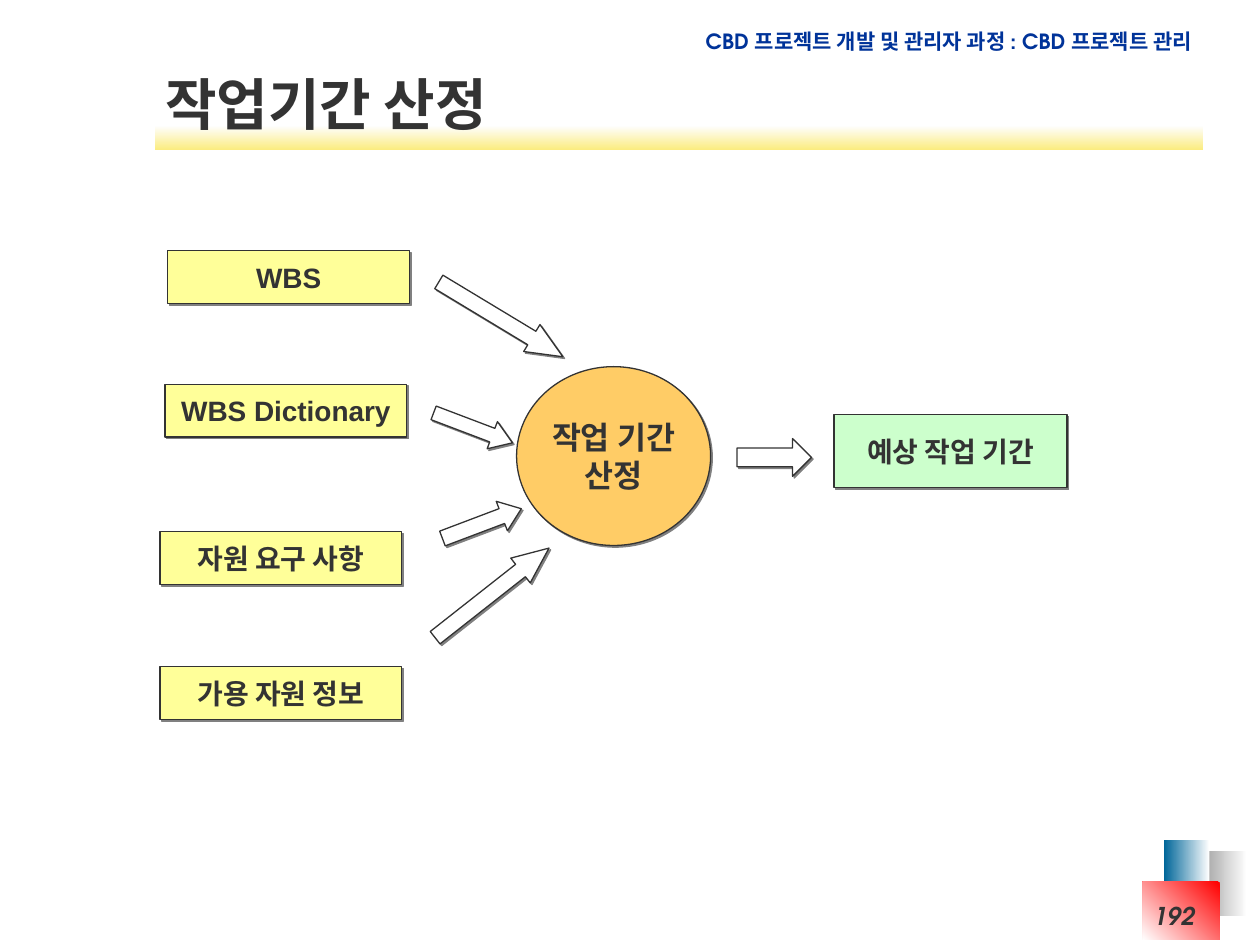
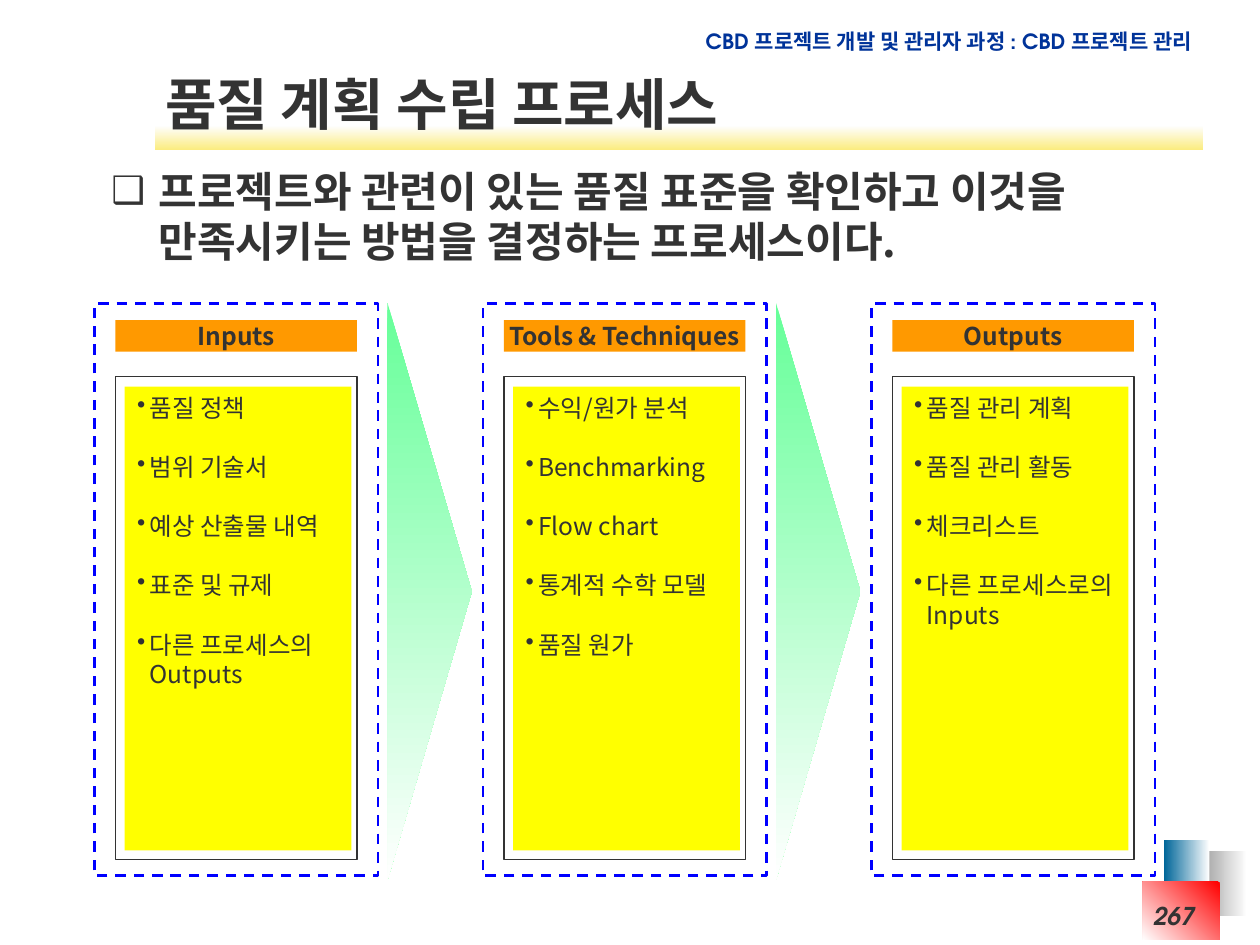
from dataclasses import dataclass

from lxml import etree
from pptx import Presentation
from pptx.dml.color import RGBColor
from pptx.enum import dml, shapes, text
from pptx.oxml import ns
from pptx.util import Pt

COLORS = {
    "ink": "333333", "header": "003399", "white": "FFFFFF", "shadow": "808080",
    "input": "FFFF99", "process": "FFCC66", "result": "CCFFCC",
    "frame": "0000FF", "heading": "FF9900", "list": "FFFF00", "flow": "66FF99",
    "gray": "969696", "teal": "006699", "red": "FF0000",
    "band_top": "FEFEFE", "band_bottom": "FBEC7F",
}
KOREAN = "Noto Sans CJK KR"
GOTHIC = "TeX Gyre Adventor"
HEADER = "CBD 프로젝트 개발 및 관리자 과정 : CBD 프로젝트 관리"
SHAPE = shapes.MSO_SHAPE
ALIGN = text.PP_ALIGN


@dataclass(frozen=True)
class Box:
    left: float
    top: float
    width: float
    height: float

    def lengths(self) -> list:
        return [Pt(v) for v in (self.left, self.top, self.width, self.height)]


@dataclass(frozen=True)
class Style:
    size: float
    font: str = KOREAN
    color: str = "ink"
    bold: bool = True
    italic: bool = False
    align: int = ALIGN.CENTER


@dataclass(frozen=True)
class Gradient:
    box: Box
    start: str
    end: str
    angle: float  # clockwise


@dataclass(frozen=True)
class Node:
    box: Box
    label: str
    fill: str = "input"
    kind: int = SHAPE.RECTANGLE
    size: float = 16


@dataclass(frozen=True)
class Arrow:
    box: Box
    rotation: float
    head: float


@dataclass(frozen=True)
class Column:
    heading: str
    items: tuple


DECORATIONS = (
    Gradient(Box(684, 486, 28.8, 37.4), "white", "gray", 180),
    Gradient(Box(665.3, 480.2, 25.9, 37.4), "white", "teal", 180),
    Gradient(Box(653, 504, 44, 33.1), "red", "white", 135),
    Gradient(Box(88.6, 72, 599, 13.7), "band_top", "band_bottom", 90),
)
NODES = (
    Node(Box(95.8, 143.3, 138.2, 30.2), "WBS"),
    Node(Box(94.3, 219.6, 138.2, 30.2), "WBS Dictionary"),
    Node(Box(91.4, 303.8, 138.2, 30.2), "자원 요구 사항"),
    Node(Box(91.4, 380.9, 138.2, 30.2), "가용 자원 정보"),
    Node(Box(476.6, 236.9, 133.2, 41.8), "예상 작업 기간", "result"),
    Node(Box(295.2, 209.5, 110.9, 102.2), "작업 기간\n산정", "process", SHAPE.OVAL, 18),
)
ARROWS = (
    Arrow(Box(244.8, 173.5, 82.8, 18), 31.1, 1.15),
    Arrow(Box(246.2, 236.2, 48.2, 16.6), 20.8, 0.74),
    Arrow(Box(251.3, 290.2, 48.2, 18), 339.3, 0.66),
    Arrow(Box(239.8, 329.8, 82.8, 18), 321.8, 1.15),
    Arrow(Box(421.2, 250.6, 42.5, 21.6), 0, 0.5),
)
COLUMNS = (
    Column("Inputs", ("품질 정책", "범위 기술서", "예상 산출물 내역", "표준 및 규제",
                      "다른 프로세스의 Outputs")),
    Column("Tools & Techniques", ("수익/원가 분석", "Benchmarking", "Flow chart",
                                  "통계적 수학 모델", "품질 원가")),
    Column("Outputs", ("품질 관리 계획", "품질 관리 활동", "체크리스트",
                       "다른 프로세스로의 Inputs")),
)
COLUMN_LEFT, COLUMN_STEP = 54, 222


def rgb(name: str) -> RGBColor:
    return RGBColor.from_string(COLORS[name])


def add_child(parent, tag: str, **attributes):
    child = etree.SubElement(parent, ns.qn(tag))
    for key, value in attributes.items():
        child.set(key, str(value))
    return child


# Text
def format_paragraph(paragraph, style: Style) -> None:
    paragraph.alignment = style.align
    font = paragraph.font
    font.name, font.size = style.font, Pt(style.size)
    font.bold, font.italic = style.bold, style.italic
    font.color.rgb = rgb(style.color)
    add_child(paragraph._p.pPr.find(ns.qn("a:defRPr")), "a:ea", typeface=KOREAN)


def add_bullet(paragraph, char: str, margin: float, indent: float, percent: int = 100) -> None:
    properties = paragraph._p.get_or_add_pPr()
    properties.set("marL", str(Pt(margin)))
    properties.set("indent", str(Pt(indent)))
    add_child(add_child(properties, "a:buClr"), "a:srgbClr", val=COLORS["ink"])
    add_child(properties, "a:buSzPct", val=percent * 1000)
    add_child(properties, "a:buChar", char=char)


def write(shape, content: str, style: Style, wrap: bool = True,
          anchor: int = text.MSO_ANCHOR.MIDDLE) -> None:
    frame = shape.text_frame
    frame.text = content
    frame.word_wrap = wrap
    frame.auto_size = text.MSO_AUTO_SIZE.NONE
    frame.vertical_anchor = anchor
    for paragraph in frame.paragraphs:
        format_paragraph(paragraph, style)


def add_label(slide, box: Box, content: str, style: Style) -> None:
    write(slide.shapes.add_textbox(*box.lengths()), content, style,
          anchor=text.MSO_ANCHOR.TOP)


# Shapes
def add_shape(slide, kind: int, box: Box, fill: str = "", line: str = "",
              width: float = 0.75, shadow: bool = False):
    shape = slide.shapes.add_shape(kind, *box.lengths())
    shape.shadow.inherit = False
    if fill:
        shape.fill.solid()
        shape.fill.fore_color.rgb = rgb(fill)
    else:
        shape.fill.background()
    if line:
        shape.line.color.rgb = rgb(line)
        shape.line.width = Pt(width)
    else:
        shape.line.fill.background()
    if shadow:
        effects = shape._element.spPr.find(ns.qn("a:effectLst"))
        outer = add_child(effects, "a:outerShdw", dist=Pt(1.4), dir=45 * 60000,
                          algn="ctr", rotWithShape=0)
        add_child(outer, "a:srgbClr", val=COLORS["shadow"])
    return shape


def add_gradient(slide, gradient: Gradient, kind: int = SHAPE.RECTANGLE):
    shape = add_shape(slide, kind, gradient.box)
    shape.fill.gradient()
    shape.fill.gradient_angle = 360 - gradient.angle
    for stop, color in zip(shape.fill.gradient_stops, (gradient.start, gradient.end)):
        stop.color.rgb = rgb(color)
    shape._element.spPr.find(ns.qn("a:gradFill")).set("rotWithShape", "0")
    return shape


# Shared slide frame: decorations, header, title, page number
def add_slide(presentation, layout: int, title: str, title_width: float, number: int):
    slide = presentation.slides.add_slide(presentation.slide_layouts[layout])
    placeholders = list(slide.placeholders)
    for gradient in DECORATIONS:
        add_gradient(slide, gradient)
    add_label(slide, Box(388.8, 13, 299.5, 21.6), HEADER,
              Style(12, GOTHIC, "header", align=ALIGN.RIGHT))
    for placeholder in placeholders:  # bring in front of the band
        slide.shapes._spTree.append(placeholder._element)
    heading = slide.shapes.title
    heading.left, heading.top, heading.width, heading.height = Box(
        87.1, 36.7, title_width, 43.9).lengths()
    write(heading, title, Style(32, align=ALIGN.LEFT))
    add_label(slide, Box(601.2, 511.2, 88.6, 28.8), str(number),
              Style(14, GOTHIC, italic=True, align=ALIGN.RIGHT))
    return slide


def build_duration_slide(presentation) -> None:
    slide = add_slide(presentation, 5, "작업기간 산정", 599, 192)
    for node in NODES:
        shape = add_shape(slide, node.kind, node.box, node.fill, "ink", shadow=True)
        write(shape, node.label, Style(node.size, "Arial"), wrap=False)
    for arrow in ARROWS:
        shape = add_shape(slide, SHAPE.RIGHT_ARROW, arrow.box, "white", "ink", shadow=True)
        shape.rotation = arrow.rotation
        shape.adjustments[1] = arrow.head


def add_column(slide, left: float, column: Column) -> None:
    frame = add_shape(slide, SHAPE.RECTANGLE, Box(left, 173.5, 162, 327), line="frame", width=1.5)
    frame.line.dash_style = dml.MSO_LINE.DASH
    heading = add_shape(slide, SHAPE.RECTANGLE, Box(left + 12, 182.9, 138, 18), "heading")
    write(heading, column.heading, Style(14), wrap=False)
    add_shape(slide, SHAPE.RECTANGLE, Box(left + 12, 215.3, 138, 275.8), line="ink")
    panel = add_shape(slide, SHAPE.RECTANGLE, Box(left + 17.3, 221, 129.6, 265), "list")
    panel.text_frame.text = "\n".join(column.items)
    panel.text_frame.word_wrap = True
    panel.text_frame.vertical_anchor = text.MSO_ANCHOR.TOP
    for index, paragraph in enumerate(panel.text_frame.paragraphs):
        add_bullet(paragraph, "•", 7.2, -7.2)
        paragraph.space_before = Pt(17 if index else 0)
        format_paragraph(paragraph, Style(14, bold=False, align=ALIGN.LEFT))


def build_quality_slide(presentation) -> None:
    slide = add_slide(presentation, 1, "품질 계획 수립 프로세스", 590.4, 267)
    body = slide.placeholders[1]
    body.left, body.top, body.width, body.height = Box(50.4, 90.7, 637.2, 413.3).lengths()
    body.text_frame.text = ("프로젝트와 관련이 있는 품질 표준을 확인하고 이것을 "
                            "만족시키는 방법을 결정하는 프로세스이다.")
    body.text_frame.auto_size = text.MSO_AUTO_SIZE.NONE
    paragraph = body.text_frame.paragraphs[0]
    add_bullet(paragraph, "❑", 33, -27, 90)
    paragraph.space_before = Pt(0)
    format_paragraph(paragraph, Style(24, align=ALIGN.LEFT))

    # Columns, with a flow triangle in each gap
    for index, column in enumerate(COLUMNS):
        left = COLUMN_LEFT + index * COLUMN_STEP
        if index:
            box = Box(left - 195.4, 313.9, 329.8, 48.2)
            triangle = add_gradient(slide, Gradient(box, "flow", "white", 90),
                                    SHAPE.ISOSCELES_TRIANGLE)
            triangle.rotation = 90
        add_column(slide, left, column)


def main() -> None:
    presentation = Presentation()
    presentation.slide_width, presentation.slide_height = Pt(720), Pt(540)
    build_duration_slide(presentation)
    build_quality_slide(presentation)
    presentation.save("out.pptx")


if __name__ == "__main__":
    main()
